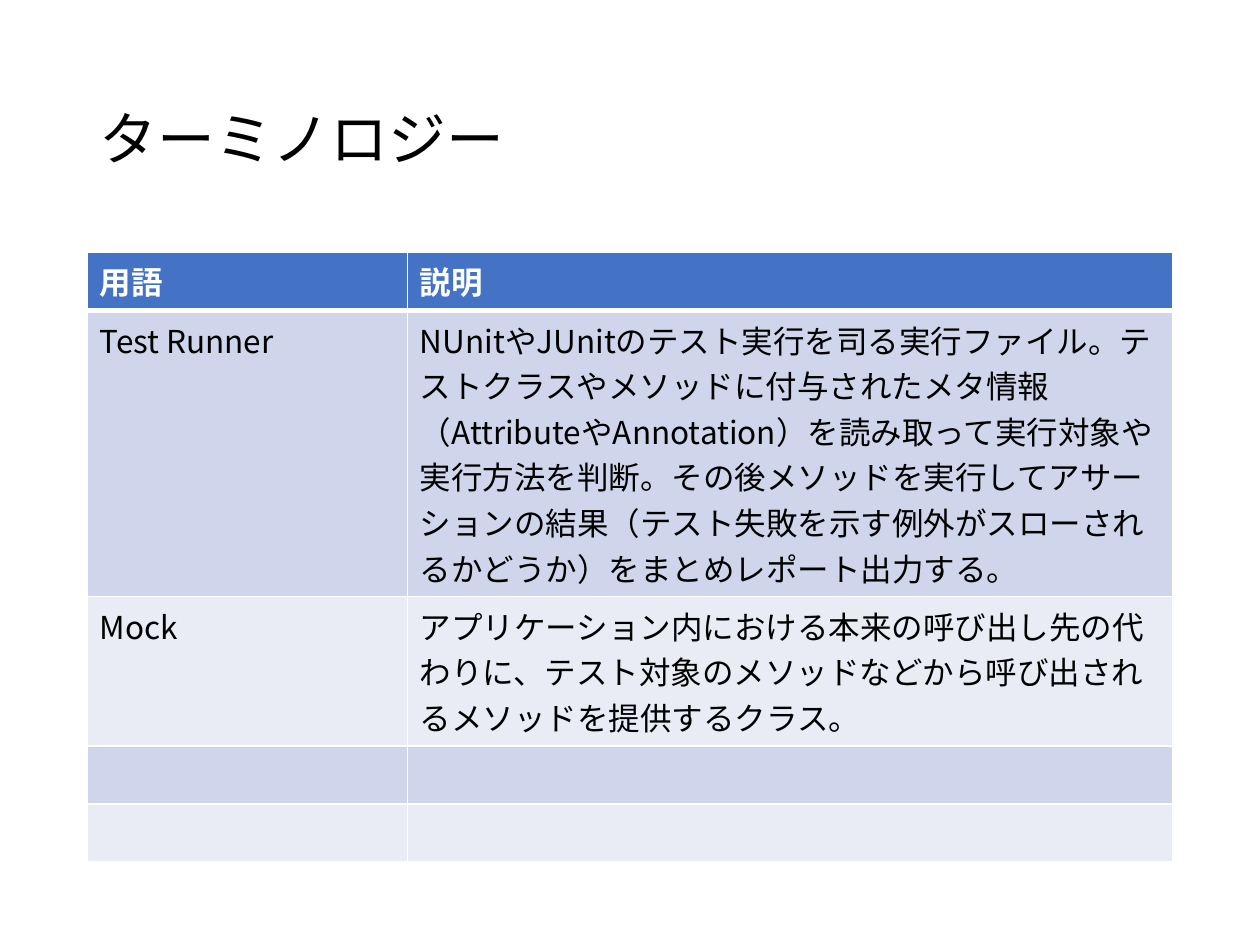
from lxml import etree
from pptx import Presentation, util as u
from pptx.dml.color import RGBColor
from pptx.enum import text
from pptx.oxml.ns import qn

FONT = "Noto Sans CJK JP"
COLORS = {"header": "4472C4", "odd": "CFD5EA", "even": "E9EBF5",
          "light": "FFFFFF", "dark": "000000"}
TITLE = "ターミノロジー"
ROWS = [
    ("用語", "説明"),
    ("Test Runner",
     "NUnitやJUnitのテスト実行を司る実行ファイル。"
     "テストクラスやメソッドに付与されたメタ情報（AttributeやAnnotation）を読み取って"
     "実行対象や実行方法を判断。その後メソッドを実行してアサーションの結果"
     "（テスト失敗を示す例外がスローされるかどうか）をまとめレポート出力する。"),
    ("Mock",
     "アプリケーション内における本来の呼び出し先の代わりに、"
     "テスト対象のメソッドなどから呼び出されるメソッドを提供するクラス。"),
    ("", ""),
    ("", ""),
]
WIDTH, HEIGHT = 10, 7.5
MARGIN = 0.69
COL_SHARES = (0.295, 0.705)
ROW_HEIGHT = 0.46


def add_text(p, content, size, color, bold=False):
    r = p.add_run()
    r.text = content
    for name, value in {"name": FONT, "size": u.Pt(size), "bold": bold}.items():
        setattr(r.font, name, value)
    r.font.color.rgb = RGBColor.from_string(COLORS[color])
    rPr = r._r.get_or_add_rPr()
    rPr.set("lang", "ja-JP")
    etree.SubElement(rPr, qn("a:ea"), typeface=FONT)


def add_borders(cell, widths):
    tcPr = cell._tc.get_or_add_tcPr()
    for i, (side, width) in enumerate(widths.items()):
        ln = etree.Element(qn(f"a:ln{side}"), w=str(u.Pt(width)))
        fill = etree.SubElement(ln, qn("a:solidFill"))
        etree.SubElement(fill, qn("a:srgbClr"), val=COLORS["light"])
        tcPr.insert(i, ln)


prs = Presentation()
prs.slide_width, prs.slide_height = u.Inches(WIDTH), u.Inches(HEIGHT)
s = prs.slides.add_slide(prs.slide_layouts[5])
table_width = WIDTH - 2 * MARGIN

title = s.shapes.title
for name, value in {"left": MARGIN, "top": 0.4, "width": table_width, "height": 1.45}.items():
    setattr(title, name, u.Inches(value))
tf = title.text_frame
tf.vertical_anchor = text.MSO_ANCHOR.MIDDLE
p = tf.paragraphs[0]
p.alignment, p.line_spacing = text.PP_ALIGN.LEFT, 0.9
add_text(p, TITLE, 33, "dark")

table = s.shapes.add_table(
    len(ROWS), len(COL_SHARES), u.Inches(MARGIN), u.Inches(2),
    u.Inches(table_width), u.Inches(ROW_HEIGHT * len(ROWS))).table
for column, share in zip(table.columns, COL_SHARES):
    column.width = u.Inches(table_width * share)

for i, row in enumerate(ROWS):
    is_header = i == 0
    fill = "header" if is_header else "odd" if i % 2 else "even"
    for j, content in enumerate(row):
        cell = table.cell(i, j)
        cell.fill.solid()
        cell.fill.fore_color.rgb = RGBColor.from_string(COLORS[fill])
        add_borders(cell, {"L": 1, "R": 1, "T": 3 if i == 1 else 1, "B": 3 if is_header else 1})
        if content:
            add_text(cell.text_frame.paragraphs[0], content, 18,
                     "light" if is_header else "dark", is_header)

prs.save("out.pptx")
